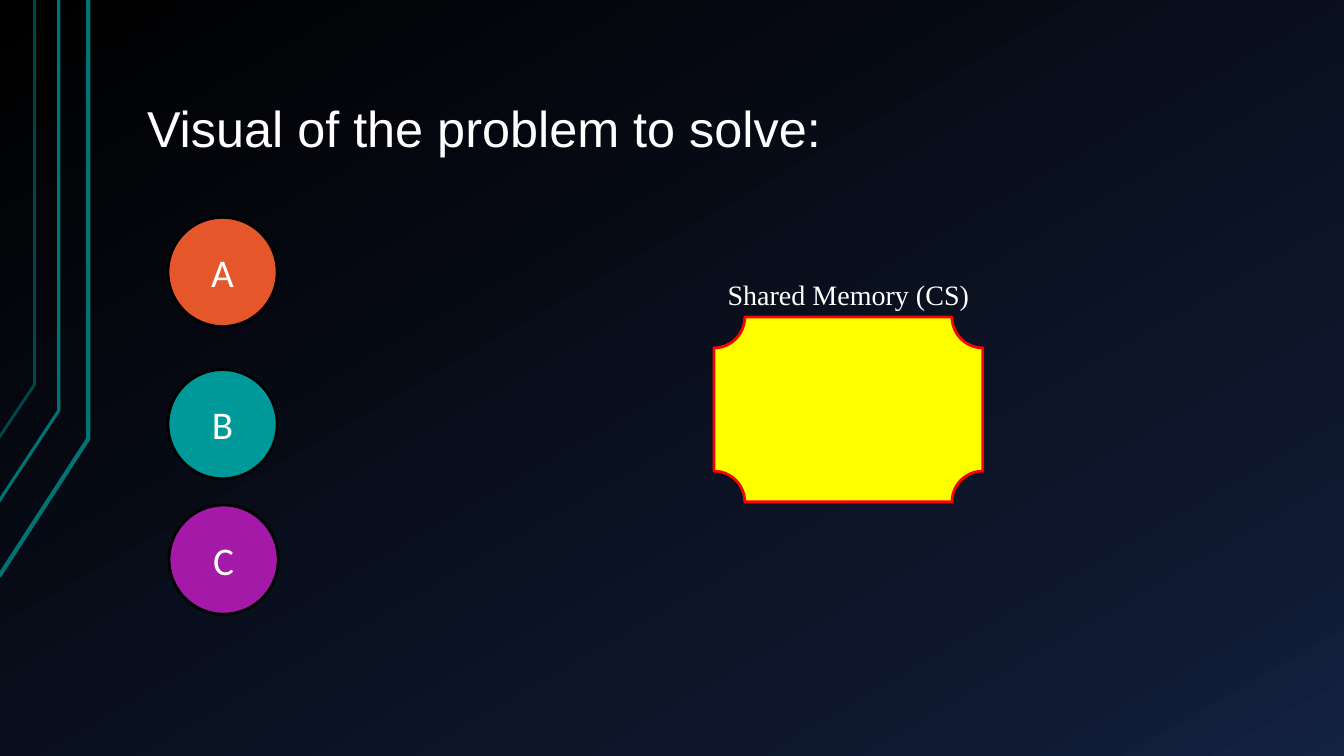
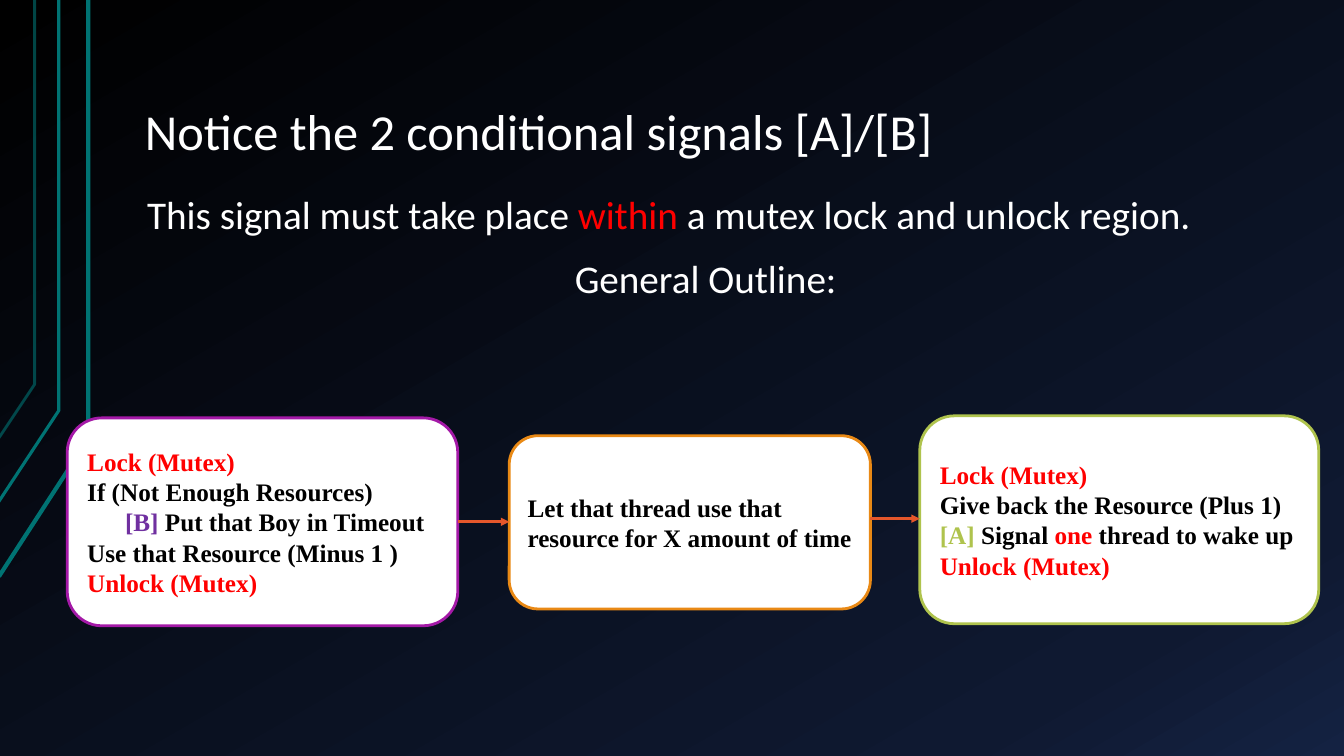
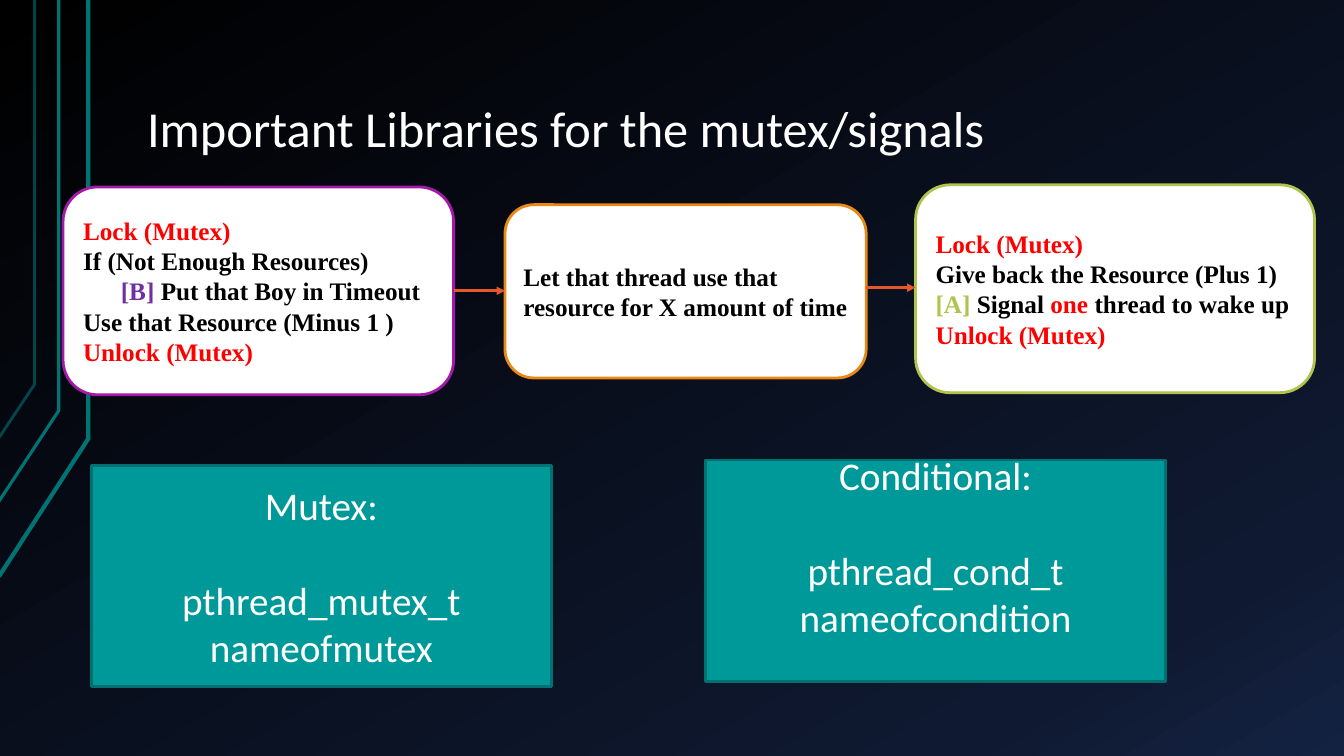
from copy import deepcopy

from lxml import etree
from pptx import Presentation
from pptx import util as u
from pptx.dml.color import RGBColor
from pptx.enum import shapes, text
from pptx.oxml.ns import qn

PX = 9525  # EMU in one px, 96 px to the inch

BLACK = RGBColor(0x00, 0x00, 0x00)
WHITE = RGBColor(0xFF, 0xFF, 0xFF)
RED = RGBColor(0xFF, 0x00, 0x00)
YELLOW = RGBColor(0xFF, 0xFF, 0x00)
NAVY = RGBColor(0x0F, 0x19, 0x31)
BLUE = RGBColor(0x14, 0x22, 0x42)
RAIL_TEAL = RGBColor(0x00, 0x73, 0x73)
TEAL = RGBColor(0x00, 0x99, 0x99)
DARK_TEAL = RGBColor(0x00, 0x71, 0x71)
MAGENTA = RGBColor(0xA4, 0x19, 0xA7)
VERMILION = RGBColor(0xE5, 0x57, 0x2B)
ORANGE = RGBColor(0xE9, 0x89, 0x15)
GREEN = RGBColor(0xAF, 0xC3, 0x4D)
PURPLE = RGBColor(0x70, 0x30, 0xA0)

SANS = "Calibri"
SERIF = "Times New Roman"
LEFT, CENTER = text.PP_ALIGN.LEFT, text.PP_ALIGN.CENTER
SHAPE = shapes.MSO_SHAPE


def add_box(slide, kind, box, fill, line):
    """Add a flat preset shape; box is left, top, width, height in px."""
    shape = slide.shapes.add_shape(kind, *(value * PX for value in box))
    shape.shadow.inherit = False
    shape.fill.solid()
    shape.fill.fore_color.rgb = fill
    shape.line.color.rgb = line
    shape.line.width = u.Pt(2)
    return shape


def write(paragraph, runs, font, size, align=LEFT, bold=False):
    """Fill a paragraph with (wording, colour) runs."""
    paragraph.alignment = align
    for wording, color in runs:
        run = paragraph.add_run()
        run.text = wording
        run.font.name = font
        run.font.size = u.Pt(size)
        run.font.bold = bold
        run.font.color.rgb = color


presentation = Presentation()
presentation.slide_width = 1280 * PX
presentation.slide_height = 720 * PX
master = presentation.slide_master

# Shared background gradient
background = master.background.fill
background.gradient()
background.gradient_angle = 300
stop_list = master.element.find(".//" + qn("a:gsLst"))
stop_list.append(deepcopy(stop_list[-1]))
for stop, (position, color) in zip(
        background.gradient_stops, ((0, BLACK), (0.85, NAVY), (1, BLUE))):
    stop.position = position
    stop.color.rgb = color

# Slides and their titles
TITLE_ONLY, TITLE_AND_BODY = 5, 1
TITLES = (
    (TITLE_ONLY, "Visual of the problem to solve:", "Arial", 128, 29),
    (TITLE_AND_BODY, "Notice the 2 conditional signals [A]/[B]", SANS, 126, 32),
    (TITLE_ONLY, "Important Libraries for the mutex/signals", SANS, 128, 29),
)
for layout, wording, font, left, top in TITLES:
    slide = presentation.slides.add_slide(presentation.slide_layouts[layout])
    title = slide.shapes.title
    title.left, title.top = left * PX, top * PX
    title.width, title.height = 1088 * PX, 129 * PX
    frame = title.text_frame
    frame.vertical_anchor = text.MSO_ANCHOR.BOTTOM
    frame.auto_size = text.MSO_AUTO_SIZE.NONE
    frame.margin_left = frame.margin_right = 12 * PX
    frame.margin_top = frame.margin_bottom = 7 * PX
    write(frame.paragraphs[0], [(wording, WHITE)], font, 36)
    frame.paragraphs[0].line_spacing = 0.9
problem, signals, libraries = presentation.slides

# Teal rails at the left edge, kept on the master
RAILS = (
    (3, 100, ((-1, 549), (84, 418), (84, 0))),
    (2.25, 100, ((-2, 479), (56, 391), (56, 0))),
    (2, 60, ((-1, 417), (33, 366), (33, 0))),
)
for number, (width, opacity, (start, *points)) in enumerate(RAILS):
    builder = problem.shapes.build_freeform(*start, scale=PX)
    builder.add_line_segments(points, close=False)
    rail = builder.convert_to_shape()
    rail.shadow.inherit = False
    rail.fill.background()
    rail.line.color.rgb = RAIL_TEAL
    rail.line.width = u.Pt(width)
    color = rail.element.find(".//" + qn("a:ln")).find(".//" + qn("a:srgbClr"))
    etree.SubElement(color, qn("a:alpha")).set("val", str(opacity * 1000))
    rail.element.find(".//" + qn("p:cNvPr")).set("id", str(100 + number))
    master.shapes.element.insert(2 + number, rail.element)

# Slide 1: three threads and the memory they share
add_box(problem, SHAPE.PLAQUE, (680, 302, 256, 176), YELLOW, RED)
THREADS = (("A", 160, 207, VERMILION), ("B", 160, 352, TEAL), ("C", 161, 481, MAGENTA))
for name, left, top, color in THREADS:
    thread = add_box(problem, SHAPE.OVAL, (left, top, 104, 104), color, BLACK)
    write(thread.text_frame.paragraphs[0], [(name, WHITE)], SANS, 28, CENTER)
label = problem.shapes.add_textbox(660 * PX, 260 * PX, 296 * PX, 42 * PX)
label.text_frame.word_wrap = True
write(label.text_frame.paragraphs[0], [("Shared Memory (CS)", WHITE)], SERIF, 20, CENTER)

# Slide 2: statement above the outline
body = signals.placeholders[1]
body.left, body.top, body.width, body.height = 128 * PX, 179 * PX, 1088 * PX, 129 * PX
frame = body.text_frame
frame.auto_size = text.MSO_AUTO_SIZE.NONE
frame.margin_left = frame.margin_right = 12 * PX
frame.margin_top = frame.margin_bottom = 7 * PX
statement, heading = frame.paragraphs[0], frame.add_paragraph()
write(statement, [("This signal must take place ", WHITE), ("within", RED),
                  (" a mutex lock and unlock region.", WHITE)], SANS, 28)
write(heading, [("General Outline:", WHITE)], SANS, 28, CENTER)
for paragraph in frame.paragraphs:
    paragraph.line_spacing = 0.9
    paragraph.space_before = u.Pt(16)
    properties = paragraph._p.get_or_add_pPr()
    properties.set("marL", "0")
    properties.set("indent", "0")
    etree.SubElement(properties, qn("a:buNone"))

# Slides 2 and 3: the same flow; each line is its indent and its runs
LOCK = (0, [("Lock (Mutex)", RED)])
UNLOCK = (0, [("Unlock (Mutex)", RED)])
STEPS = (
    ((0, 2, 372, 198), MAGENTA, (
        LOCK,
        (0, [("If (Not Enough Resources)", BLACK)]),
        (36, [("[B] ", PURPLE), ("Put that Boy in Timeout", BLACK)]),
        (0, [("Use that Resource (Minus 1 )", BLACK)]),
        UNLOCK)),
    ((421, 19, 344, 165), ORANGE, (
        (0, [("Let that thread use that resource for X amount of time", BLACK)]),)),
    ((812, 0, 380, 198), GREEN, (
        LOCK,
        (0, [("Give back the Resource (Plus 1)", BLACK)]),
        (0, [("[A] ", GREEN), ("Signal ", BLACK), ("one", RED),
             (" thread to wake up", BLACK)]),
        UNLOCK)),
)
for slide, flow_left, flow_top in ((signals, 64, 396), (libraries, 60, 176)):
    steps = []
    for (left, top, width, height), color, lines in STEPS:
        step = add_box(slide, SHAPE.FLOWCHART_ALTERNATE_PROCESS,
                       (flow_left + left, flow_top + top, width, height), WHITE, color)
        frame = step.text_frame
        for number, (indent, runs) in enumerate(lines):
            paragraph = frame.add_paragraph() if number else frame.paragraphs[0]
            write(paragraph, runs, SERIF, 18, bold=True)
            if indent:
                paragraph._p.get_or_add_pPr().set("marL", str(indent * PX))
        steps.append(step)
    for before, after, drop in ((steps[0], steps[1], 101), (steps[1], steps[2], 98)):
        y = (flow_top + drop) * PX
        arrow = slide.shapes.add_connector(
            shapes.MSO_CONNECTOR.STRAIGHT, before.left + before.width, y, after.left, y)
        arrow.line.color.rgb = VERMILION
        arrow.line.width = u.Pt(2)
        etree.SubElement(arrow.element.find(".//" + qn("a:ln")),
                         qn("a:tailEnd")).set("type", "triangle")
        etree.SubElement(arrow.element.find(qn("p:spPr")), qn("a:effectLst"))

# Slide 3: declarations
DECLARATIONS = (
    (87, 443, 5, "Mutex:", "pthread_mutex_t nameofmutex"),
    (672, 438, 52, "Conditional:", "pthread_cond_t nameofcondition"),
)
for left, top, bottom_margin, name, code in DECLARATIONS:
    card = add_box(libraries, SHAPE.RECTANGLE, (left, top, 438, 211), TEAL, DARK_TEAL)
    frame = card.text_frame
    frame.margin_bottom = bottom_margin * PX
    write(frame.paragraphs[0], [(name, WHITE)], SANS, 28, CENTER)
    declaration = frame.add_paragraph()
    declaration.space_before = u.Pt(34)
    write(declaration, [(code, WHITE)], SANS, 28, CENTER)

presentation.save("out.pptx")
